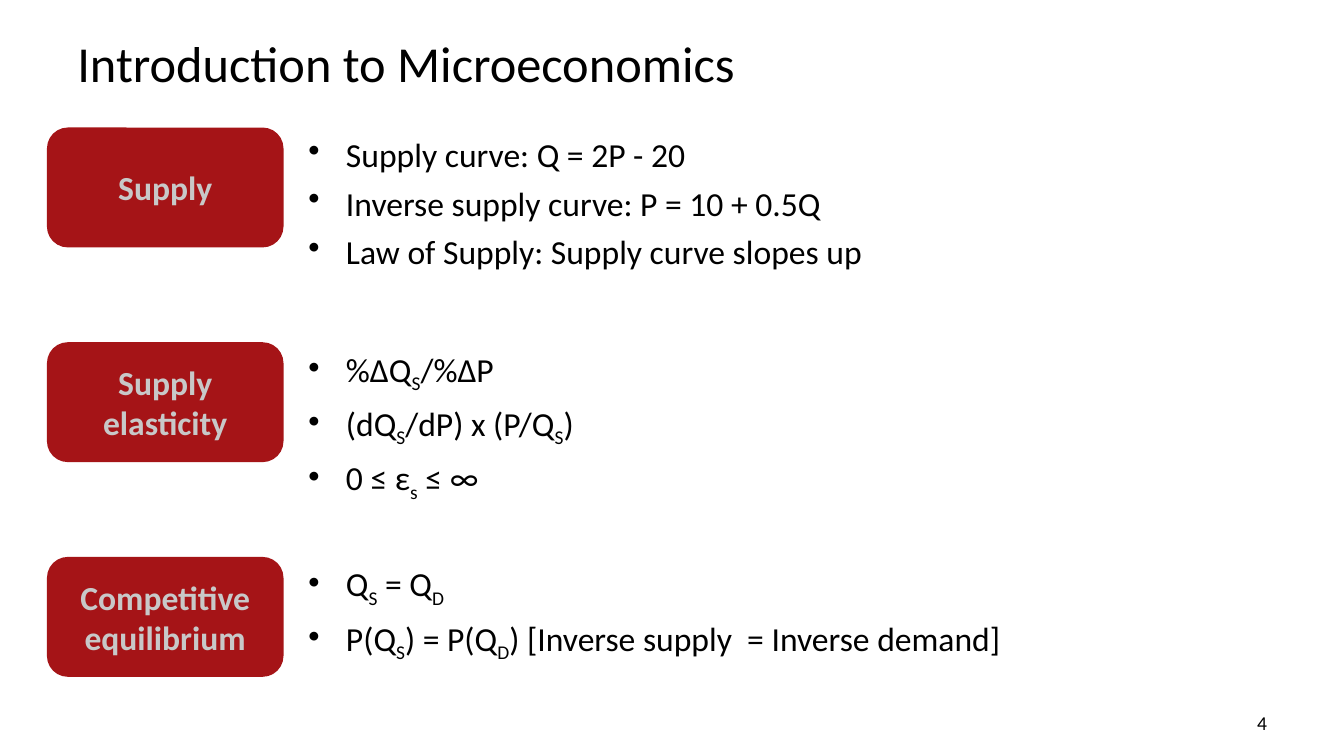
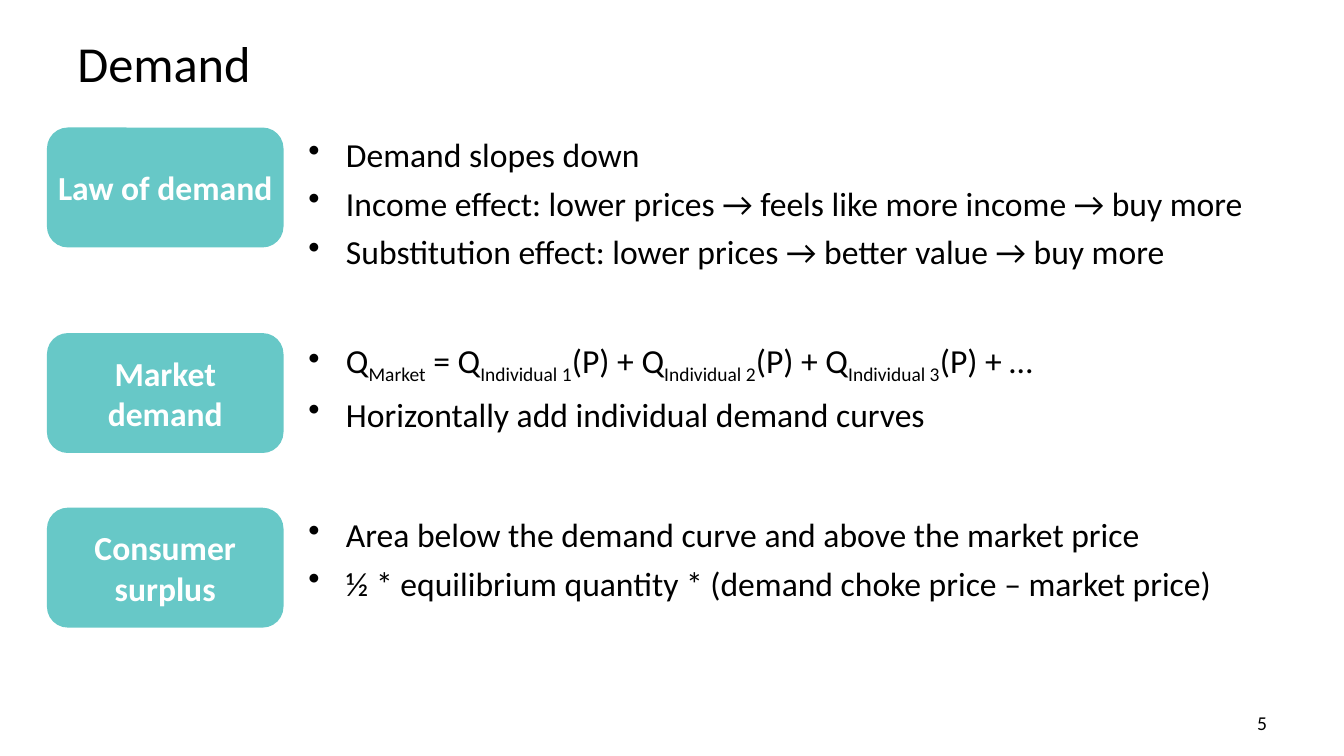
import lxml.etree
import pptx
import pptx.dml.color
import pptx.enum.shapes
import pptx.enum.text
import pptx.oxml.ns
import pptx.util

Cm = pptx.util.Cm
Pt = pptx.util.Pt
Align = pptx.enum.text.PP_ALIGN
Anchor = pptx.enum.text.MSO_ANCHOR

FONT = "Calibri"
COLORS = {
    "text": "000000",
    "background": "FFFFFF",
    "red": "A51417",
    "teal": "67C8C7",
    "gray": "C8C8C8",
    "white": "FFFFFF",
}
TITLE_BOX = (1.7, 0.66, 30.48, 1.8)
NUMBER_BOX = (24.28, 17.78, 7.9, 0.86)
TOPIC_LEFT, TOPIC_WIDTH = 1.22, 31.42
LABEL_WIDTH, LABEL_HEIGHT = 5.89, 2.95
BULLETS_OFFSET = 6.3
BULLET_INDENT = 0.95

SLIDES = [
    {
        "title": "Introduction to Microeconomics",
        "number": 4,
        "fill": "red",
        "label_color": "gray",
        "topics": [
            (3.25, "Supply", [
                "Supply curve: Q = 2P - 20",
                "Inverse supply curve: P = 10 + 0.5Q",
                "Law of Supply: Supply curve slopes up",
            ]),
            (8.66, "Supply elasticity", [
                "%ΔQ|S|/%ΔP",
                "(dQ|S|/dP) x (P/Q|S|)",
                "0 ≤ ε|s| ≤ ∞",
            ]),
            (14.07, "Competitive equilibrium", [
                "Q|S| = Q|D|",
                "P(Q|S|) = P(Q|D|) [Inverse supply  = Inverse demand]",
            ]),
        ],
    },
    {
        "title": "Demand",
        "number": 5,
        "fill": "teal",
        "label_color": "white",
        "topics": [
            (3.25, "Law of demand", [
                "Demand slopes down",
                "Income effect: lower prices → feels like more income → buy more",
                "Substitution effect: lower prices → better value → buy more",
            ]),
            (8.43, "Market demand", [
                "Q|Market| = Q|Individual 1|(P) + Q|Individual 2|(P)"
                " + Q|Individual 3|(P) + …",
                "Horizontally add individual demand curves",
            ]),
            (12.83, "Consumer surplus", [
                "Area below the demand curve and above the market price",
                "½ * equilibrium quantity * (demand choke price – market price)",
            ]),
        ],
    },
]


def rgb(name):
    """Return the named colour."""
    return pptx.dml.color.RGBColor.from_string(COLORS[name])


def add_runs(paragraph, text, size, color="text", bold=False):
    """Add the text as runs; every second piece between bars is a subscript."""
    for index, piece in enumerate(text.split("|")):
        if not piece:
            continue
        run = paragraph.add_run()
        run.text = piece
        run.font.name = FONT
        run.font.size = Pt(size)
        run.font.bold = bold
        run.font.color.rgb = rgb(color)
        if index % 2:
            run.font._element.set("baseline", "-25000")


def add_bullet(paragraph):
    """Give the paragraph a hanging round bullet."""
    properties = paragraph._p.get_or_add_pPr()
    properties.set("marL", str(Cm(BULLET_INDENT)))
    properties.set("indent", str(-Cm(BULLET_INDENT)))
    bullet = lxml.etree.SubElement(properties, pptx.oxml.ns.qn("a:buChar"))
    bullet.set("char", "•")


def add_line(slide, box, text, size, alignment=Align.LEFT, anchor=Anchor.TOP):
    """Place one line of text in the box."""
    frame = slide.shapes.add_textbox(*map(Cm, box)).text_frame
    frame.word_wrap = True
    frame.vertical_anchor = anchor
    paragraph = frame.paragraphs[0]
    paragraph.alignment = alignment
    add_runs(paragraph, text, size)


def add_label(shapes, box, text, fill, color):
    """Place a rounded label in the box."""
    shape = shapes.add_shape(
        pptx.enum.shapes.MSO_SHAPE.ROUNDED_RECTANGLE, *map(Cm, box))
    shape.shadow.inherit = False
    shape.fill.solid()
    shape.fill.fore_color.rgb = rgb(fill)
    shape.line.color.rgb = rgb(fill)
    shape.line.width = Pt(2)
    frame = shape.text_frame
    frame.word_wrap = True
    frame.vertical_anchor = Anchor.MIDDLE
    frame.margin_left = frame.margin_right = 0
    paragraph = frame.paragraphs[0]
    paragraph.alignment = Align.CENTER
    add_runs(paragraph, text, 24, color, True)


def add_bullets(shapes, box, lines):
    """Place a bulleted list in the box."""
    frame = shapes.add_textbox(*map(Cm, box)).text_frame
    frame.word_wrap = True
    for index, line in enumerate(lines):
        paragraph = frame.add_paragraph() if index else frame.paragraphs[0]
        add_bullet(paragraph)
        paragraph.space_after = Pt(6)
        add_runs(paragraph, line, 24)


def add_topic(slide, box, label, lines, fill, color):
    """Group a label with the list to its right inside the box."""
    left, top, width, height = box
    shapes = slide.shapes.add_group_shape().shapes
    add_label(shapes, (left, top, LABEL_WIDTH, LABEL_HEIGHT), label, fill, color)
    bullets_box = (left + BULLETS_OFFSET, top, width - BULLETS_OFFSET, height)
    add_bullets(shapes, bullets_box, lines)


def add_topic_slide(presentation, content):
    """Build a slide with a title, labelled topics and a page number."""
    slide = presentation.slides.add_slide(presentation.slide_layouts[6])
    slide.background.fill.solid()
    slide.background.fill.fore_color.rgb = rgb("background")
    add_line(slide, TITLE_BOX, content["title"], 36, anchor=Anchor.MIDDLE)
    for top, label, lines in content["topics"]:
        box = (TOPIC_LEFT, top, TOPIC_WIDTH, 1.25 * len(lines))
        add_topic(slide, box, label, lines,
                  content["fill"], content["label_color"])
    add_line(slide, NUMBER_BOX, str(content["number"]), 14, Align.RIGHT)


def main():
    """Build and save the presentation."""
    presentation = pptx.Presentation()
    presentation.slide_width = Cm(33.87)
    presentation.slide_height = Cm(19.05)
    for content in SLIDES:
        add_topic_slide(presentation, content)
    presentation.save("out.pptx")


if __name__ == "__main__":
    main()
